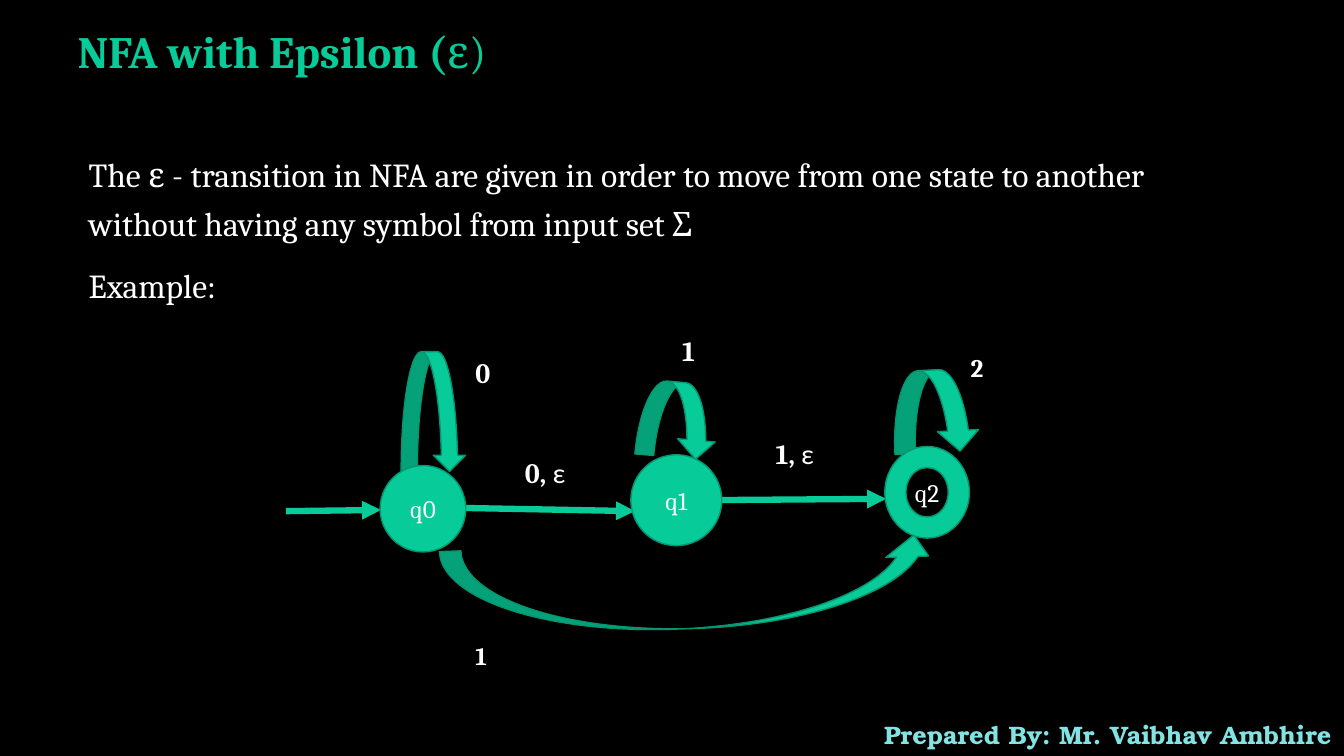
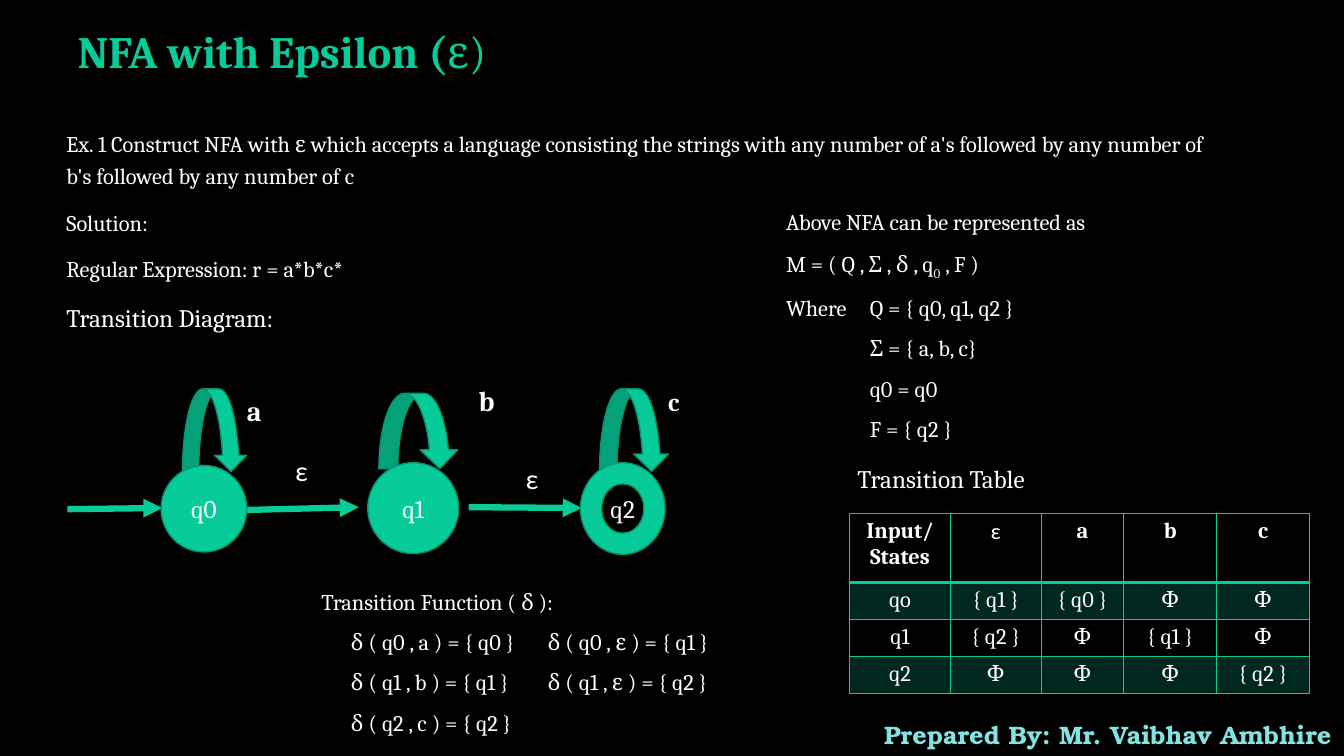
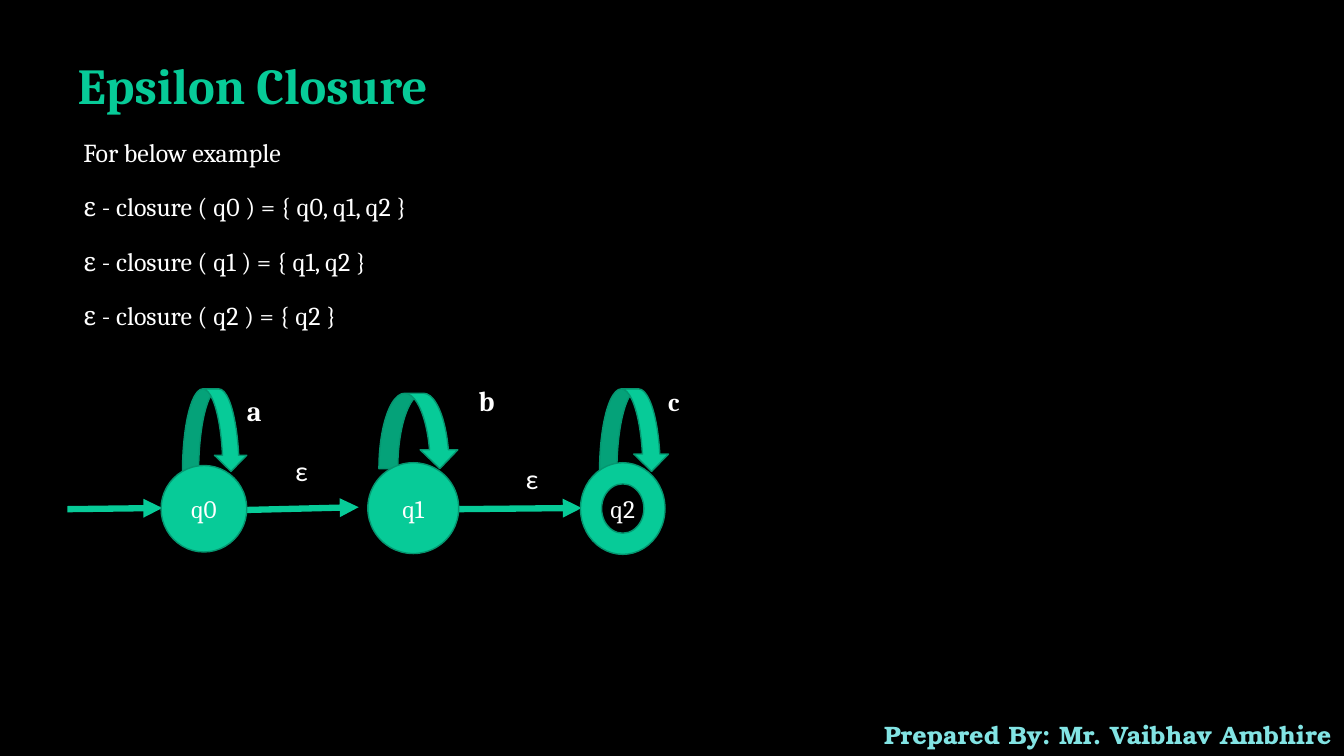
from lxml.etree import SubElement
from pptx import Presentation
from pptx.dml.color import RGBColor
from pptx.enum.shapes import MSO_CONNECTOR, MSO_SHAPE
from pptx.enum.text import MSO_ANCHOR, MSO_AUTO_SIZE, PP_ALIGN
from pptx.oxml.ns import qn
from pptx.util import Cm, Pt

COLORS = {
    "ground": "000000",
    "accent": "07CB98",
    "edge": "059670",
    "text": "FFFFFF",
    "credit": "82E3E3",
}
STATES = {
    "q0": (MSO_SHAPE.OVAL, 2.16, 2.18),
    "q1": (MSO_SHAPE.OVAL, 2.29, 2.29),
    "q2": (MSO_SHAPE.DONUT, 2.13, 2.31),
}


def rgb(name):
    return RGBColor.from_string(COLORS[name])


def write(paragraph, text, size=16, bold=False, font="Cambria", color="text",
          align=PP_ALIGN.LEFT, spacing=None, before=0, baseline=None):
    paragraph.alignment = align
    paragraph.space_before = Pt(before)
    if spacing:
        paragraph.line_spacing = spacing
    run = paragraph.add_run()
    run.text = text
    run.font.size = Pt(size)
    run.font.bold = bold
    run.font.name = font
    run.font.color.rgb = rgb(color)
    if baseline:
        run.font._element.set("baseline", str(baseline * 1000))


def next_paragraph(frame):
    first = frame.paragraphs[0]
    return frame.add_paragraph() if first.runs else first


def add_tabs(paragraph, stops):
    tabs = SubElement(paragraph._p.get_or_add_pPr(), qn("a:tabLst"))
    for stop in stops:
        SubElement(tabs, qn("a:tab"), pos=str(Cm(stop)), algn="l")


def set_border(cell, side, width):
    line = SubElement(cell._tc.get_or_add_tcPr(), qn(f"a:{side}"), w=str(Pt(width)))
    fill = SubElement(line, qn("a:solidFill"))
    SubElement(fill, qn("a:srgbClr"), val=COLORS["accent"])


def set_tint(cell, percent):
    fill = SubElement(cell._tc.get_or_add_tcPr(), qn("a:solidFill"))
    color = SubElement(fill, qn("a:srgbClr"), val=COLORS["accent"])
    SubElement(color, qn("a:alpha"), val=str(percent * 1000))


class Deck:
    def __init__(self):
        self.prs = Presentation()
        self.prs.slide_width, self.prs.slide_height = Cm(33.87), Cm(19.05)
        ground = self.prs.slide_master.background.fill
        ground.solid()
        ground.fore_color.rgb = rgb("ground")
        self.slide = None

    def new_slide(self):
        self.slide = self.prs.slides.add_slide(self.prs.slide_layouts[1])
        credit = self.text_box(21.95, 18.01, 11.94, 1.02)
        write(credit.paragraphs[0], "Prepared By: Mr. Vaibhav Ambhire", size=18, bold=True,
              font="TeX Gyre Bonum", color="credit", align=PP_ALIGN.CENTER)

    def place(self, holder, left, top, width, height, anchor):
        holder.left, holder.top = Cm(left), Cm(top)
        holder.width, holder.height = Cm(width), Cm(height)
        frame = holder.text_frame
        frame.word_wrap = True
        frame.auto_size = MSO_AUTO_SIZE.NONE
        frame.vertical_anchor = anchor
        return frame

    def title(self, text, light="", size=32, height=1.7):
        frame = self.place(self.slide.shapes.title, 1.7, 0.41, 26.85, height, MSO_ANCHOR.BOTTOM)
        for part, bold in ((text, True), (light, False)):
            if part:
                write(frame.paragraphs[0], part, size=size, bold=bold, color="accent", spacing=0.9)

    def body(self, lines, left, top, width, height, spacing=1.2):
        frame = self.place(self.slide.placeholders[1], left, top, width, height, MSO_ANCHOR.TOP)
        for text, size in lines:
            paragraph = next_paragraph(frame)
            write(paragraph, text, size=size, spacing=spacing, before=10)
            properties = paragraph._p.get_or_add_pPr()
            properties.set("marL", "0")
            properties.set("indent", "0")
            SubElement(properties, qn("a:buNone"))

    def text_box(self, left, top, width, height):
        frame = self.slide.shapes.add_textbox(Cm(left), Cm(top), Cm(width), Cm(height)).text_frame
        frame.word_wrap = True
        return frame

    def tabbed_lines(self, lines, stops, left, top, width, height):
        frame = self.text_box(left, top, width, height)
        for runs in lines:
            paragraph = next_paragraph(frame)
            for text, baseline in runs:
                write(paragraph, text, spacing=1.5, baseline=baseline)
            add_tabs(paragraph, stops)

    def label(self, symbol, epsilon, left, top, size=20):
        frame = self.text_box(left, top, 1.75 if epsilon else 1, 1.1)
        if symbol:
            write(frame.paragraphs[0], symbol, size=size, bold=True)
        if epsilon:
            write(frame.paragraphs[0], epsilon, size=size, font="Calibri")

    def shape(self, kind, left, top, width, height, turn=0):
        shape = self.slide.shapes.add_shape(kind, Cm(left), Cm(top), Cm(width), Cm(height))
        shape.shadow.inherit = False
        shape.fill.solid()
        shape.fill.fore_color.rgb = rgb("accent")
        shape.line.color.rgb = rgb("edge")
        shape.line.width = Pt(1)
        shape.rotation = turn
        return shape

    def state(self, name, left, top):
        kind, width, height = STATES[name]
        frame = self.shape(kind, left, top, width, height).text_frame
        frame.vertical_anchor = MSO_ANCHOR.MIDDLE
        write(frame.paragraphs[0], name, size=18, align=PP_ALIGN.CENTER)

    def arrow(self, x1, y1, x2, y2):
        arrow = self.slide.shapes.add_connector(
            MSO_CONNECTOR.STRAIGHT, Cm(x1), Cm(y1), Cm(x2), Cm(y2))
        arrow.line.color.rgb = rgb("accent")
        arrow.line.width = Pt(4.5)
        SubElement(arrow.line._get_or_add_ln(), qn("a:tailEnd"), type="triangle")
        SubElement(arrow._element.spPr, qn("a:effectLst"))

    def bypass(self, left, top, width, height):
        bypass = self.shape(MSO_SHAPE.CURVED_LEFT_ARROW, left, top, width, height, 88)
        bypass._element.spPr.xfrm.set("flipV", "1")

    def automaton(self, loops, arrows, states, labels):
        for loop in loops:
            self.shape(MSO_SHAPE.CURVED_DOWN_ARROW, *loop)
        for arrow in arrows:
            self.arrow(*arrow)
        for state in states:
            self.state(*state)
        for label in labels:
            self.label(*label)

    def abc_automaton(self, second_start):
        self.automaton(
            loops=[(4.6, 9.8, 1.63, 2.08), (9.55, 9.91, 2.01, 1.9), (15.11, 9.8, 1.75, 2.08)],
            arrows=[(1.7, 12.83, 4.09, 12.8), (6.22, 12.85, 9.04, 12.78),
                    (*second_start, 14.66, 12.8)],
            states=[("q0", 4.06, 11.73), ("q1", 9.27, 11.66), ("q2", 14.63, 11.66)],
            labels=[("a", "", 5.97, 9.78), ("b", "", 11.81, 9.53), ("c", "", 16.59, 9.6, 18),
                    ("", "ε", 7.19, 11.3), ("", "ε", 13, 11.51)])

    def table(self, rows, left, top, widths, heights):
        table = self.slide.shapes.add_table(
            len(rows), len(widths), Cm(left), Cm(top),
            Cm(sum(widths)), Cm(sum(heights))).table
        table.first_row = table.horz_banding = False
        for column, width in zip(table.columns, widths):
            column.width = Cm(width)
        for r, (values, height) in enumerate(zip(rows, heights)):
            table.rows[r].height = Cm(height)
            for c, value in enumerate(values):
                cell = table.cell(r, c)
                epsilon = value == "ε"
                write(cell.text_frame.paragraphs[0], value, bold=r == 0 and not epsilon,
                      font="Calibri" if epsilon else "Cambria", align=PP_ALIGN.CENTER)
                for side in ("lnL", "lnR", "lnT", "lnB"):
                    header_rule = (r, side) in ((0, "lnB"), (1, "lnT"))
                    set_border(cell, side, 2 if header_rule else 1)
                if r % 2:
                    set_tint(cell, 20)
                else:
                    cell.fill.background()


def introduction(deck):
    deck.new_slide()
    deck.title("NFA with Epsilon (", "ε)")
    deck.body([
        ("The ε - transition in NFA are given in order to move from one state to another "
         "without having any symbol from input set Σ", 24),
        ("Example:", 24),
    ], 1.98, 3.56, 29.9, 4.29)
    deck.bypass(16.28, 8.51, 2.16, 12.5)
    deck.automaton(
        loops=[(10.11, 8.86, 1.63, 3.02), (16.08, 9.63, 2.01, 1.9, 5),
               (22.5, 9.32, 2.16, 2.08, 357)],
        arrows=[(7.21, 12.88, 9.6, 12.85), (11.73, 12.8, 16, 12.88),
                (18.16, 12.6, 22.33, 12.57)],
        states=[("q0", 9.58, 11.73), ("q1", 15.9, 11.46), ("q2", 22.3, 11.25)],
        labels=[("0", "", 11.73, 8.84), ("1", "", 16.94, 8.28), ("2", "", 24.21, 8.76, 18),
                ("0, ", "ε", 12.98, 11.35), ("1, ", "ε", 19.3, 10.87),
                ("1", "", 11.73, 16, 18)])


def worked_example(deck):
    deck.new_slide()
    deck.title("NFA with Epsilon (", "ε)")
    deck.body([
        ("Ex. 1 Construct NFA with ε which accepts a language consisting the strings with any "
         "number of a's followed by any number of b's followed by any number of c", 16),
        ("Solution:", 16),
        ("Regular Expression: r = a*b*c*", 16),
        ("Transition Diagram:", 18),
    ], 1.42, 3.02, 29.9, 5.54)
    deck.abc_automaton((11.81, 12.78))
    deck.tabbed_lines([
        [("Above NFA can be represented as", None)],
        [("M = ( Q , Σ , δ , q", None), ("0", -25), (" , F )", None)],
        [("Where\tQ = { q0, q1, q2 }", None)],
        [("\tΣ = { a, b, c}", None)],
        [("\tq0 = q0", None)],
        [("\tF = { q2 }", None)],
    ], [2.11], 19.56, 4.78, 13.36, 6.3)
    deck.tabbed_lines([
        [("Transition Function ( δ ):", None)],
        [("\tδ ( q0 , a ) = { q0 }\tδ ( q0 , ε ) = { q1 }", None)],
        [("\tδ ( q1 , b ) = { q1 }\tδ ( q1 , ε ) = { q2 }", None)],
        [("\tδ ( q2 , c ) = { q2 }", None)],
    ], [0.74, 5.7], 7.85, 14.35, 13.64, 4.24)
    caption = deck.text_box(21.36, 11.56, 7.62, 1.02)
    write(caption.paragraphs[0], "Transition Table", size=18)
    deck.table([
        ["Input/States", "ε", "a", "b", "c"],
        ["qo", "{ q1 }", "{ q0 }", "Φ", "Φ"],
        ["q1", "{ q2 }", "Φ", "{ q1 }", "Φ"],
        ["q2", "Φ", "Φ", "Φ", "{ q2 }"],
    ], 21.41, 12.93, [2.54, 2.29, 2.08, 2.34, 2.34], [1.75] + [0.93] * 3)


def closure(deck):
    deck.new_slide()
    deck.title("Epsilon Closure", size=36, height=2.62)
    deck.body([(line, 18.5) for line in (
        "For below example",
        "ε - closure ( q0 ) = { q0, q1, q2 }",
        "ε - closure ( q1 ) = { q1, q2 }",
        "ε - closure ( q2 ) = { q2 }",
    )], 1.85, 3.07, 30.8, 5.61, spacing=1.3)
    deck.abc_automaton((11.53, 12.83))


def main():
    deck = Deck()
    introduction(deck)
    worked_example(deck)
    closure(deck)
    deck.prs.save("out.pptx")


if __name__ == "__main__":
    main()
